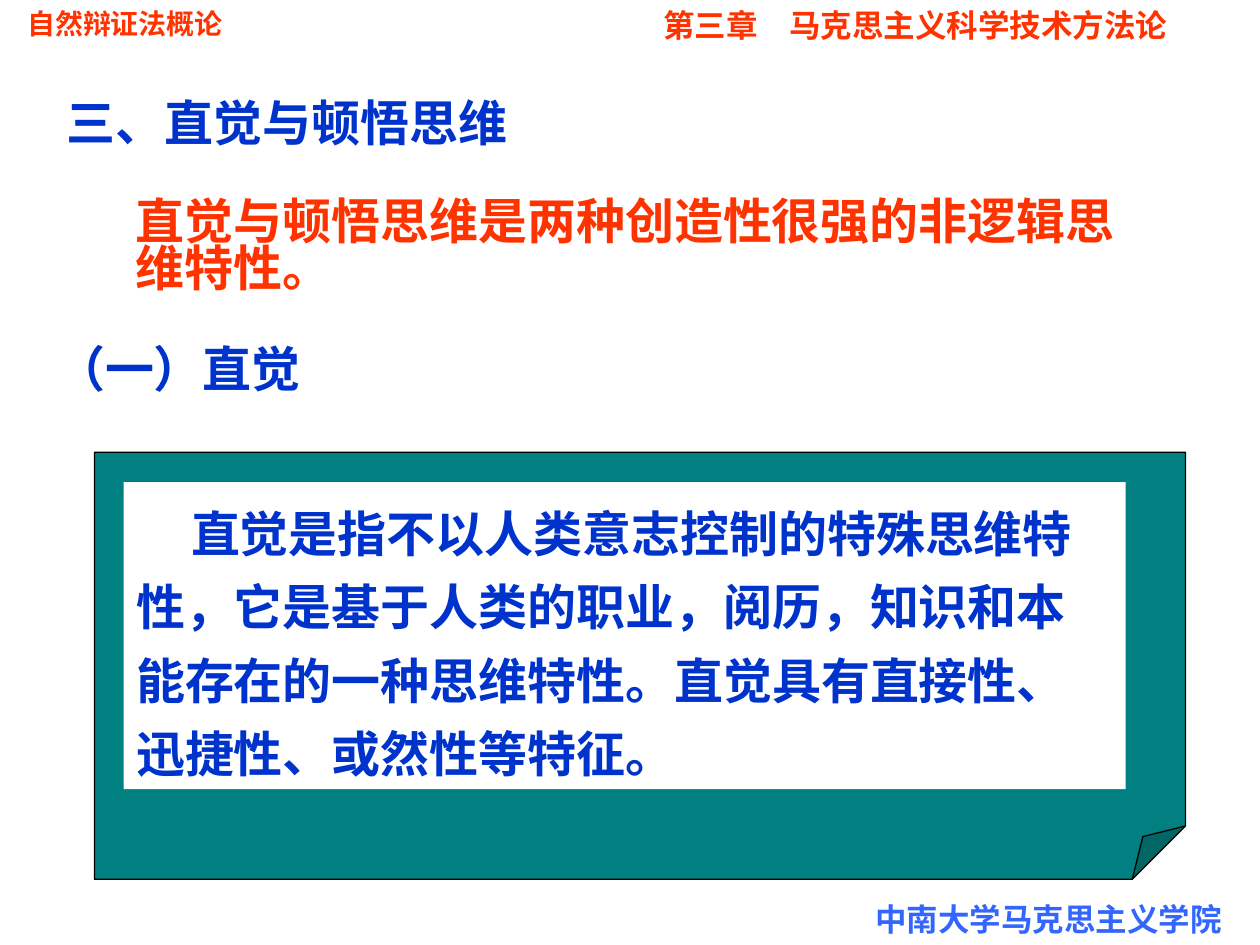
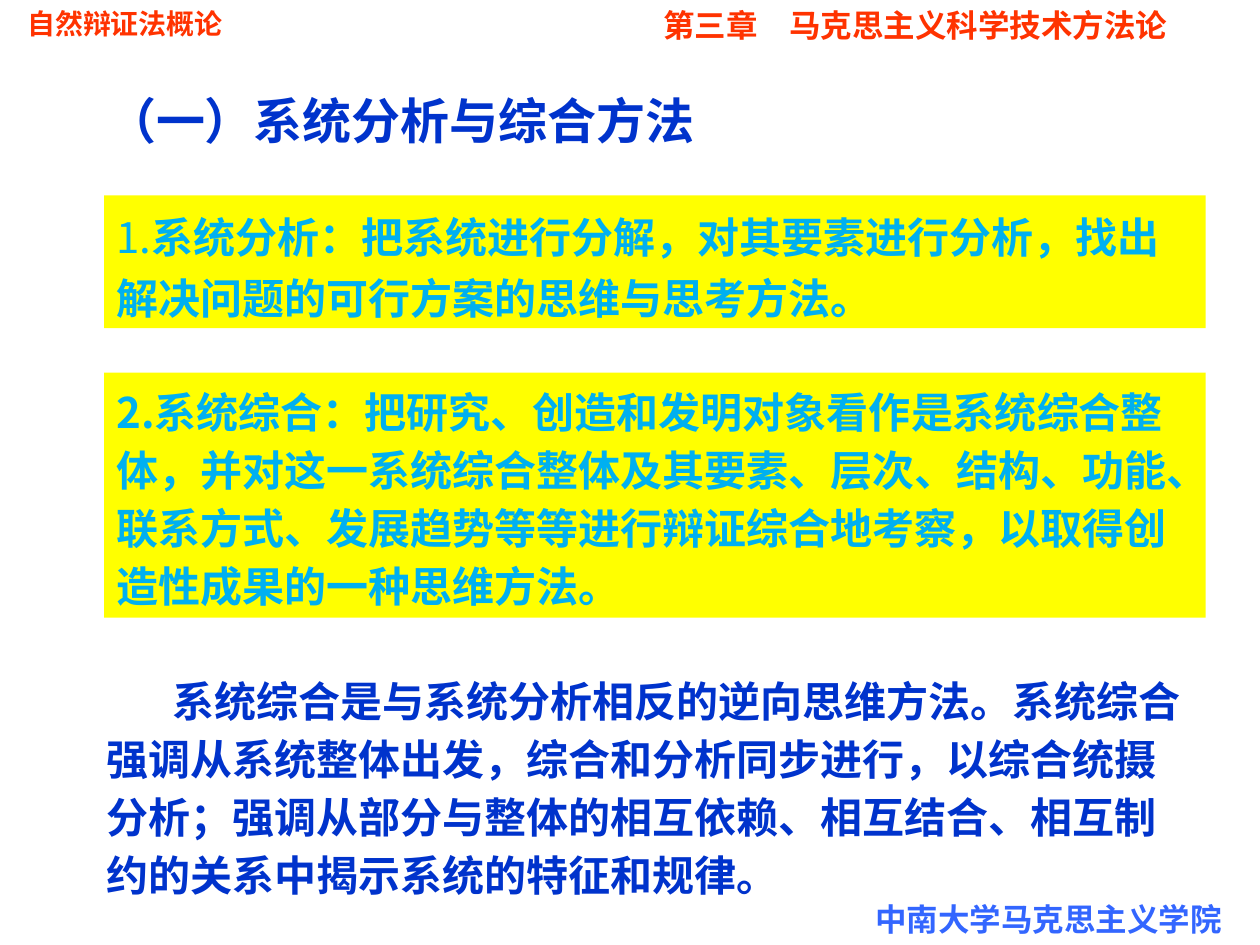
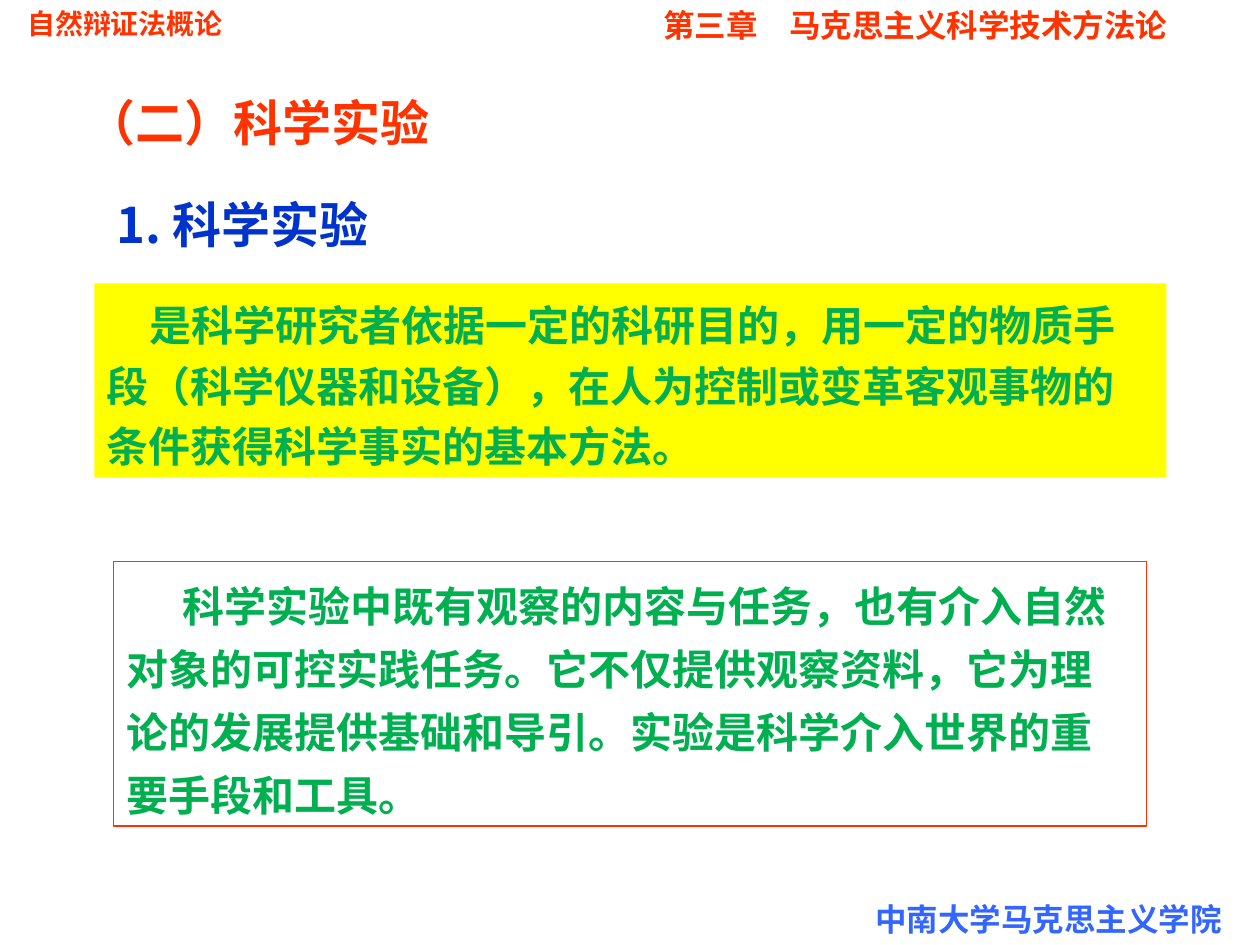
from collections import namedtuple
from dataclasses import dataclass

from lxml.etree import SubElement
from pptx import Presentation
from pptx.dml.color import RGBColor as Rgb
from pptx.enum.shapes import MSO_SHAPE as Kind
from pptx.enum.text import MSO_ANCHOR as Anchor, MSO_AUTO_SIZE as Auto, PP_ALIGN as Align
from pptx.oxml.ns import qn
from pptx.util import Pt

Box = namedtuple("Box", "x y w h")


@dataclass(frozen=True)
class Theme:
    """Colours, fonts and type sizes of the deck."""
    red: str = "FF3300"
    blue: str = "0033CC"
    pale: str = "3366FF"
    sky: str = "00B0F0"
    green: str = "00B050"
    teal: str = "008080"
    yellow: str = "FFFF00"
    white: str = "FFFFFF"
    black: str = "000000"
    font: str = "Arial"
    han: str = "Noto Sans CJK SC"
    head: int = 28
    text: int = 24
    foot: int = 18
    small: int = 16
    rule: float = 0.75


T = Theme()


def spots(box):
    """Return the four lengths of a box in points."""
    return [Pt(v) for v in box]


def style(run, size, tint, font=T.font, bold=True):
    """Format one run."""
    run.font.size, run.font.bold, run.font.name = Pt(size), bold, font
    run.font.color.rgb = Rgb.from_string(tint)
    props = run._r.get_or_add_rPr()
    props.set("lang", "zh-CN")
    SubElement(props, qn("a:ea"), typeface=T.han)


def write(shape, text, size, tint, font=T.font, lead=1.0, dent=0, align=Align.LEFT, mark=""):
    """Fill a shape with one paragraph, led by an optional light mark."""
    frame = shape.text_frame
    frame.word_wrap, frame.auto_size = True, Auto.NONE
    frame.vertical_anchor = Anchor.TOP
    frame.text = mark or text
    para = frame.paragraphs[0]
    if mark:
        para.add_run().text = text
    para.alignment, para.line_spacing, para.space_before = align, lead, Pt(0)
    para._p.get_or_add_pPr().set("indent", str(Pt(dent)))
    for run in para.runs:
        style(run, size, tint, font, run.text != mark)


def label(slide, box, text, size, tint, **more):
    """Add a plain text box."""
    area = slide.shapes.add_textbox(*spots(box))
    write(area, text, size, tint, **more)
    return area


def panel(shapes, box, fill=None, line=None, kind=Kind.RECTANGLE):
    """Add a flat shape with an optional fill and line."""
    area = shapes.add_shape(kind, *spots(box))
    area.shadow.inherit = False
    if fill:
        area.fill.solid()
        area.fill.fore_color.rgb = Rgb.from_string(fill)
    else:
        area.fill.background()
    if line:
        area.line.color.rgb = Rgb.from_string(line)
        area.line.width = Pt(T.rule)
    else:
        area.line.fill.background()
    return area


def title(slide, box, text, tint=T.blue, lead=1.0):
    """Place and fill the title placeholder."""
    area = slide.shapes.title
    area.left, area.top, area.width, area.height = spots(box)
    write(area, text, T.head, tint, lead=lead)


def frame(slide, page):
    """Put the running heads and the footer on the layout of a slide."""
    areas = (
        label(slide, Box(8.5, 0, 272, 26.5), "自然辩证法概论", T.small, T.red),
        label(slide, Box(page.w - 227, page.h - 29, 227, 29), "中南大学马克思主义学院", T.foot, T.pale),
        label(slide, Box(page.w - 394, 0, 394, 29), "第三章　马克思主义科学技术方法论",
              T.foot, T.red, align=Align.CENTER),
    )
    for key, area in enumerate(areas, 20):
        area.element.nvSpPr.cNvPr.set("id", str(key))
        slide.slide_layout.element.cSld.spTree.append(area.element)


def card(slide, box, text):
    """Group a folded sheet with a white text field on it."""
    group = slide.shapes.add_group_shape()
    sheet = panel(group.shapes, box, T.teal, T.black, Kind.FOLDED_CORNER)
    guides = next(sheet.element.iter(qn("a:avLst")))
    SubElement(guides, qn("a:gd"), name="adj", fmla="val 12500")
    field = panel(group.shapes, Box(box.x + 16.7, box.y + 17, box.w - 51, 175.5), T.white)
    write(field, text, T.head, T.blue, lead=1.25, dent=31.4)


def insight(slide):
    """Build the slide on intuition."""
    title(slide, Box(31, 49, 391, 41), "三、直觉与顿悟思维")
    label(slide, Box(70.6, 111.6, 601, 61), "直觉与顿悟思维是两种创造性很强的非逻辑思维特性。",
          T.head, T.red, lead=0.8)
    label(slide, Box(25, 196.6, 215, 34.5), "（一）直觉", T.head, T.blue, lead=0.8)
    card(slide, Box(54, 258.5, 623.5, 244),
         "直觉是指不以人类意志控制的特殊思维特性，它是基于人类的职业，阅历，知识和本能存在的一种思维特性。"
         "直觉具有直接性、迅捷性、或然性等特征。")


def system(slide):
    """Build the slide on systems analysis and synthesis."""
    title(slide, Box(54, 54.7, 436, 34.5), "（一）系统分析与综合方法", lead=0.8)
    notes = (
        (111.6, 76, 1.2, "1.", "系统分析：把系统进行分解，对其要素进行分析，找出解决问题的可行方案的思维与思考方法。"),
        (213, 140, 1.15, "", "2.系统综合：把研究、创造和发明对象看作是系统综合整体，并对这一系统综合整体及其要素、"
         "层次、结构、功能、联系方式、发展趋势等等进行辩证综合地考察，以取得创造性成果的一种思维方法。"),
    )
    for top, high, lead, mark, text in notes:
        area = panel(slide.shapes, Box(59.5, top, 629.5, high), T.yellow)
        write(area, text, T.text, T.sky, font=T.han, lead=lead, mark=mark)
    label(slide, Box(54, 378, 635, 140),
          "系统综合是与系统分析相反的逆向思维方法。系统综合强调从系统整体出发，综合和分析同步进行，"
          "以综合统摄分析；强调从部分与整体的相互依赖、相互结合、相互制约的关系中揭示系统的特征和规律。",
          T.text, T.blue, lead=1.15, dent=37.6)


def trial(slide):
    """Build the slide on scientific experiment."""
    title(slide, Box(42.5, 49, 385, 41), "（二）科学实验", T.red)
    label(slide, Box(59.5, 111.6, 414, 37.5), "1. 科学实验", T.head, T.blue, font=T.han, lead=0.9)
    area = panel(slide.shapes, Box(54, 162, 612.5, 111), T.yellow)
    write(area, "是科学研究者依据一定的科研目的，用一定的物质手段（科学仪器和设备），"
          "在人为控制或变革客观事物的条件获得科学事实的基本方法。", T.text, T.green, lead=1.2, dent=24.2)
    area = panel(slide.shapes, Box(65, 321, 590, 151), line=T.red)
    write(area, "科学实验中既有观察的内容与任务，也有介入自然对象的可控实践任务。它不仅提供观察资料，"
          "它为理论的发展提供基础和导引。实验是科学介入世界的重要手段和工具。",
          T.text, T.green, lead=1.25, dent=32.3)


def main():
    """Build and save the deck."""
    deck = Presentation()
    page = Box(0, 0, 720, 540)
    deck.slide_width, deck.slide_height = Pt(page.w), Pt(page.h)
    layout = deck.slide_layouts.get_by_name("Title Only")
    for build in (insight, system, trial):
        build(deck.slides.add_slide(layout))
    frame(deck.slides[0], page)
    deck.save("out.pptx")


if __name__ == "__main__":
    main()
